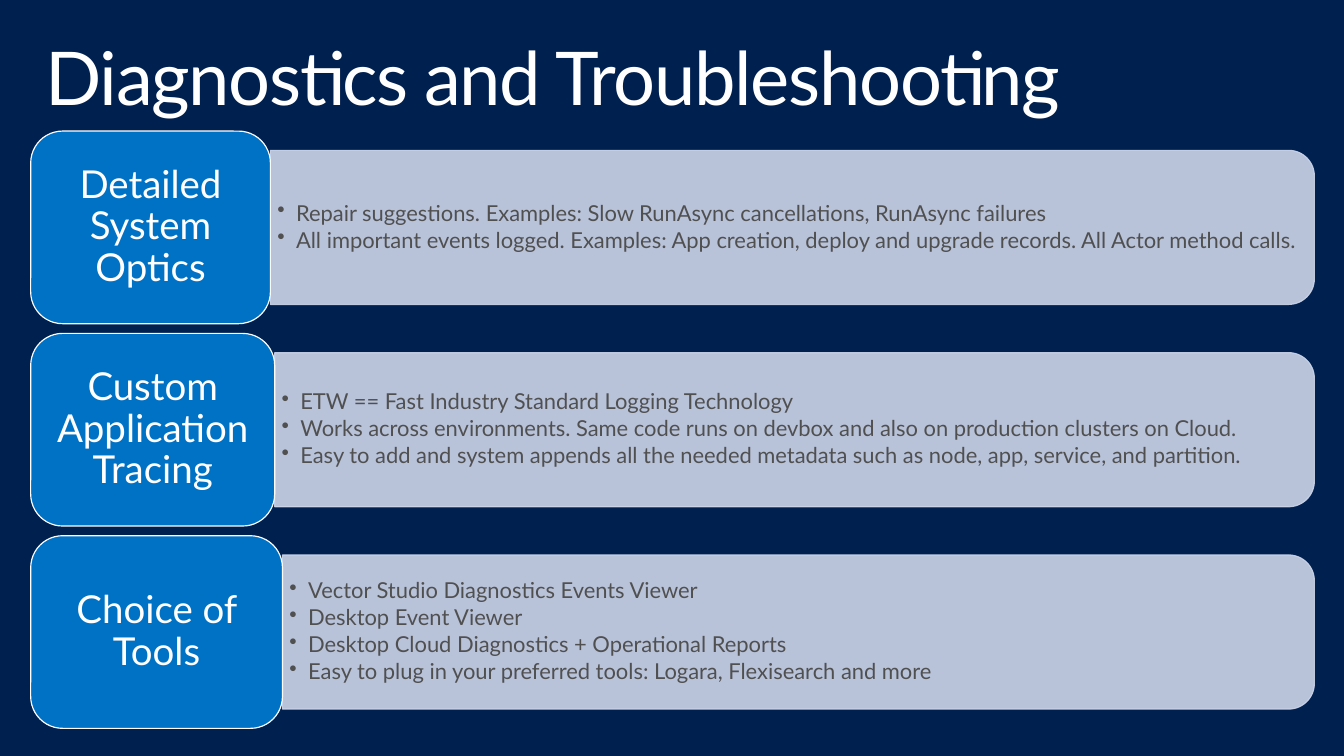
"""Build the diagnostics slide: three blue cards, each with a panel of bullets."""
import math
from lxml import etree
from pptx import Presentation, util as u
from pptx.dml.color import RGBColor
from pptx.enum import shapes, text
from pptx.oxml.ns import qn

TITLE = "Diagnostics and Troubleshooting"
ROWS = [
    ("Detailed System Optics", 6.16, [
        "Repair suggestions. Examples: Slow RunAsync cancellations, RunAsync failures",
        "All important events logged. Examples: App creation, deploy and upgrade records. All Actor method calls.",
    ]),
    ("Custom Application Tracing", 6.27, [
        "ETW == Fast Industry Standard Logging Technology",
        "Works across environments. Same code runs on devbox and also on production clusters on Cloud.",
        "Easy to add and system appends all the needed metadata such as node, app, service, and partition.",
    ]),
    ("Choice of Tools", 6.47, [
        "Vector Studio Diagnostics Events Viewer",
        "Desktop Event Viewer",
        "Desktop Cloud Diagnostics + Operational Reports",
        "Easy to plug in your preferred tools: Logara, Flexisearch and more",
    ]),
]
NAVY, BLUE, PALE, WHITE, GREY = "002050", "0072C6", "CCD5EA", "FFFFFF", "505050"
LEFT, RIGHT, TOP, PITCH = 0.79, 33.78, 3.37, 5.2
CARD_H, CARD_R = 4.95, 0.82
PANEL_H, PANEL_R = 3.96, 0.66


def paint(part, tone):
    part.solid()
    part.fore_color.rgb = RGBColor.from_string(tone)


def style(shape, fill, line, alpha=None):
    shape.shadow.inherit = False
    paint(shape.fill, fill)
    paint(shape.line.fill, line)
    shape.line.width = u.Pt(0.85)
    if alpha:
        for tone in shape._element.spPr.iter(qn("a:srgbClr")):
            etree.SubElement(tone, qn("a:alpha")).set("val", str(alpha * 1000))


def write(shape, lines, size, tone, pad, align="LEFT", anchor="MIDDLE",
          bullet=False, after=0, space=0):
    frame = shape.text_frame
    frame.word_wrap = True
    frame.vertical_anchor = text.MSO_ANCHOR[anchor]
    (frame.margin_left, frame.margin_top,
     frame.margin_right, frame.margin_bottom) = map(u.Cm, pad)
    for i, line in enumerate(lines):
        para = frame.add_paragraph() if i else frame.paragraphs[0]
        para.alignment = text.PP_ALIGN[align]
        para.line_spacing = 0.9
        para.space_after = u.Pt(after)
        run = para.add_run()
        run.text = line
        run.font.name, run.font.size = "Lato", u.Pt(size)
        paint(run.font.fill, tone)
        if space:
            run._r.get_or_add_rPr().set("spc", str(space * 100))
        if bullet:
            props = para._p.get_or_add_pPr()
            props.set("marL", str(u.Cm(0.48)))
            props.set("indent", str(-u.Cm(0.48)))
            etree.SubElement(props, qn("a:buChar")).set("char", "•")


def add_panel(slide, left, top):
    low, mid = top + PANEL_H, RIGHT - PANEL_R
    turns = [math.radians(a) for a in range(0, 91, 5)]
    upper = [(mid + PANEL_R * math.sin(a), top + PANEL_R * (1 - math.cos(a))) for a in turns]
    lower = [(x, top + low - y) for x, y in reversed(upper)]
    points = [(u.Cm(x), u.Cm(y)) for x, y in upper + lower + [(left, low)]]
    pen = slide.shapes.build_freeform(u.Cm(left), u.Cm(top))
    pen.add_line_segments(points, close=True)
    return pen.convert_to_shape()


def add_card(slide, top, width):
    card = slide.shapes.add_shape(shapes.MSO_SHAPE.ROUNDED_RECTANGLE,
                                  *map(u.Cm, (LEFT, top, width, CARD_H)))
    card.adjustments[0] = CARD_R / CARD_H
    return card


def main():
    deck = Presentation()
    deck.slide_width, deck.slide_height = u.Cm(34.54), u.Cm(19.43)
    slide = deck.slides.add_slide(deck.slide_layouts[6])
    paint(slide.background.fill, NAVY)

    head = slide.shapes.add_textbox(*map(u.Cm, (0.76, 0.81, 33.02, 2.54)))
    write(head, [TITLE], 54, WHITE, (0.41, 0.25, 0.41, 0.25), anchor="TOP", space=-1)

    inset = CARD_R * (1 - math.sqrt(0.5))
    pad = [side - inset for side in (0.53, 0.38, 0.53, 0.38)]
    for i, (name, width, notes) in enumerate(ROWS):
        top = TOP + i * PITCH
        panel = add_panel(slide, LEFT + width, top + (CARD_H - PANEL_H) / 2)
        style(panel, PALE, PALE, alpha=90)
        write(panel, notes, 16, GREY, (0.18, 0.28, 0.36, 0.28), bullet=True, after=2.4)
        card = add_card(slide, top, width)
        style(card, BLUE, WHITE)
        write(card, [name], 28, WHITE, pad, align="CENTER")

    deck.save("out.pptx")


if __name__ == "__main__":
    main()
